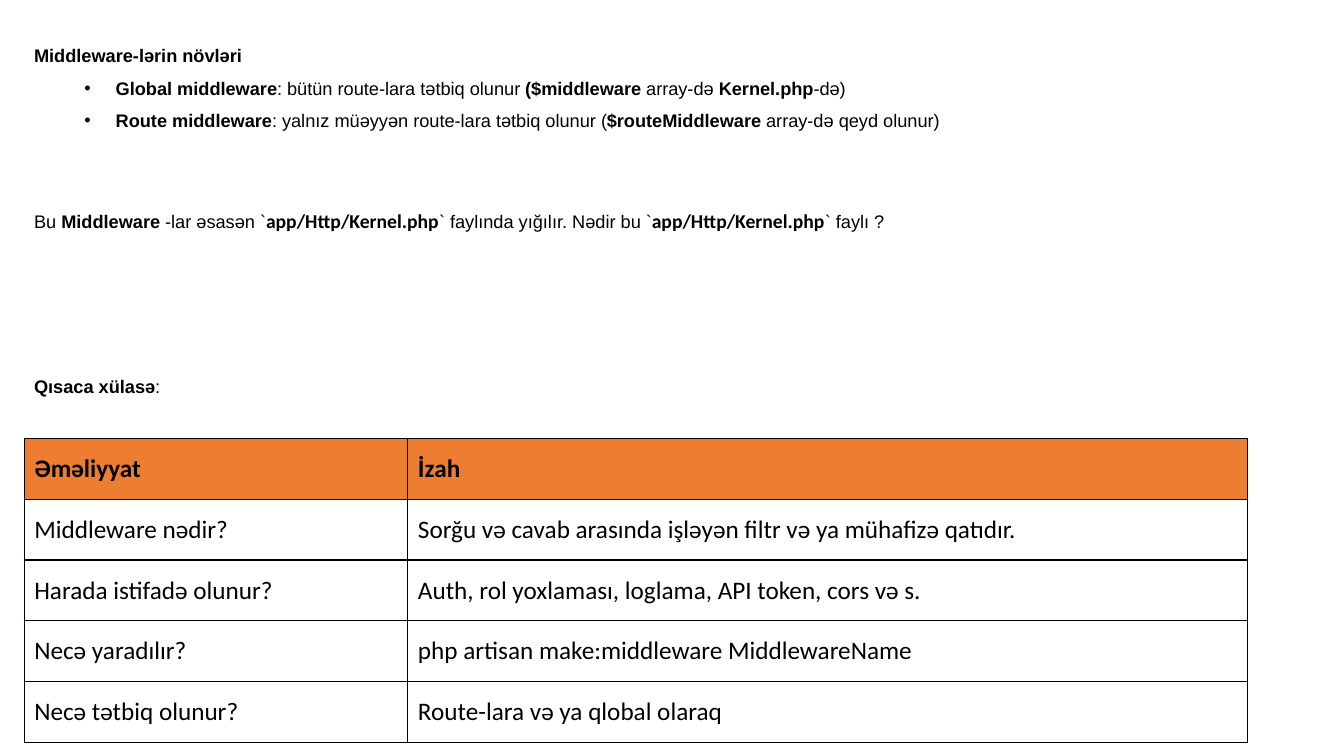
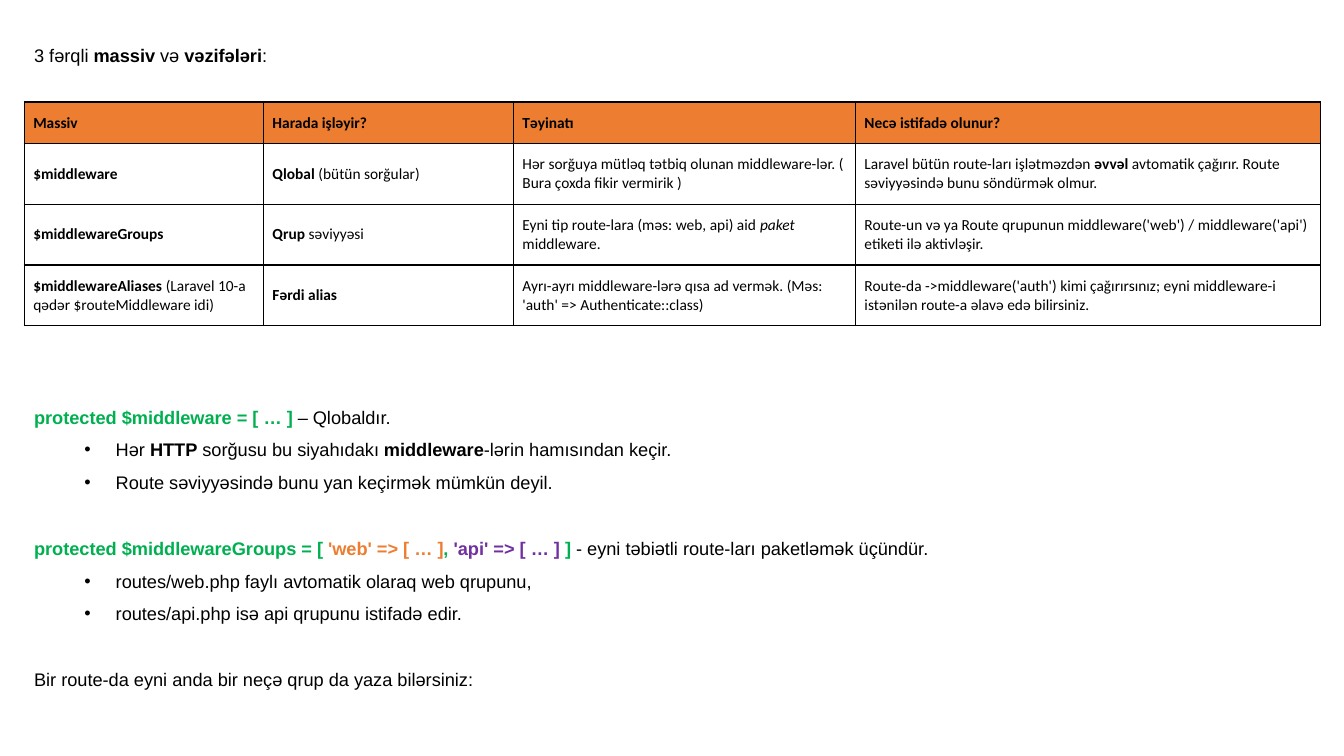
import dataclasses
import pptx
import pptx.dml.color
import pptx.enum.text
import pptx.oxml
import pptx.oxml.ns
import pptx.util


@dataclasses.dataclass(frozen=True)
class Theme:
    black: str = "000000"
    orange: str = "ED7D31"
    green: str = "00B050"
    purple: str = "7030A0"
    body_font: str = "Arial"
    table_font: str = "Calibri"
    body: int = 13
    code: int = 14
    table_large: int = 18
    table_small: int = 11
    line_spacing: float = 1.5
    line_gap: float = 23.5
    border: float = 1


theme = Theme()
BOLD = {"bold": True}
ITALIC = {"italic": True}
CODE = {"bold": True, "font": theme.table_font, "size": theme.code}
GREEN = {"bold": True, "color": theme.green}
ORANGE = {"bold": True, "color": theme.orange}
PURPLE = {"bold": True, "color": theme.purple}

prs = pptx.Presentation()
prs.slide_width = pptx.util.Inches(13.333)
prs.slide_height = pptx.util.Inches(7.5)
COL = prs.slide_width / 100
ROW = prs.slide_height / 100
LEFT = 1.8
WIDTH = 96.45
TEXT_TOP = 3.73


def write_runs(p, runs, font, size, bold=False):
    for item in runs:
        text, style = (item, {}) if isinstance(item, str) else item
        r = p.add_run()
        r.text = text
        r.font.name = style.get("font", font)
        r.font.size = pptx.util.Pt(style.get("size", size))
        r.font.bold = style.get("bold", bold)
        r.font.italic = style.get("italic", False)
        r.font.color.rgb = pptx.dml.color.RGBColor.from_string(style.get("color", theme.black))


def border_line(side):
    return pptx.oxml.parse_xml(
        f'<a:{side} {pptx.oxml.ns.nsdecls("a")} w="{pptx.util.Pt(theme.border)}">'
        f'<a:solidFill><a:srgbClr val="{theme.black}"/></a:solidFill></a:{side}>'
    )


slides = [
    {
        "text_rows": 53.33,
        "paragraphs": [
            (0, False, [("Middleware-lərin növləri", BOLD)]),
            (0, True, [("Global middleware", BOLD), ": bütün route-lara tətbiq olunur ",
                       ("($middleware ", BOLD), "array-də ", ("Kernel.php", BOLD), "-də)"]),
            (0, True, [("Route middleware", BOLD), ": yalnız müəyyən route-lara tətbiq olunur (",
                       ("$routeMiddleware ", BOLD), "array-də qeyd olunur)"]),
            (2, False, ["Bu ", ("Middleware", BOLD), " -lar əsasən `", ("app/Http/Kernel.php", CODE),
                        "` faylında yığılır. Nədir bu `", ("app/Http/Kernel.php", CODE), "` faylı ?"]),
            (4, False, [("Qısaca xülasə", BOLD), ":"]),
        ],
        "table_top": 58,
        "cols": [28.55, 62.45],
        "rows": [8.04] * 5,
        "size": theme.table_large,
        "margin": 0.1,
        "margin_y": 0.05,
        "cells": [
            [["Əməliyyat"], ["İzah"]],
            [["Middleware nədir?"], ["Sorğu və cavab arasında işləyən filtr və ya mühafizə qatıdır."]],
            [["Harada istifadə olunur?"], ["Auth, rol yoxlaması, loglama, API token, cors və s."]],
            [["Necə yaradılır?"], ["php artisan make:middleware MiddlewareName"]],
            [["Necə tətbiq olunur?"], ["Route-lara və ya qlobal olaraq"]],
        ],
    },
    {
        "text_rows": 88.27,
        "paragraphs": [
            (0, False, ["3 fərqli ", ("massiv", BOLD), " və ", ("vəzifələri", BOLD), ":"]),
            (10, False, [("protected $middleware = [ … ] ", GREEN), "– Qlobaldır."]),
            (0, True, ["Hər ", ("HTTP", BOLD), " sorğusu bu siyahıdakı ", ("middleware", BOLD),
                       "-lərin hamısından keçir."]),
            (0, True, ["Route səviyyəsində bunu yan keçirmək mümkün deyil."]),
            (1, False, [("protected $middlewareGroups = [ ", GREEN), ("'web' => [ … ]", ORANGE),
                        (", ", GREEN), ("'api' => [ … ]", PURPLE), (" ] ", GREEN),
                        "- eyni təbiətli route-ları paketləmək üçündür."]),
            (0, True, ["routes/web.php faylı avtomatik olaraq web qrupunu,"]),
            (0, True, ["routes/api.php isə api qrupunu istifadə edir."]),
            (1, False, ["Bir route-da eyni anda bir neçə qrup da yaza bilərsiniz:"]),
        ],
        "table_top": 13.5,
        "cols": [17.8, 18.6, 25.45, 34.6],
        "rows": [5.47] + [8.04] * 3,
        "size": theme.table_small,
        "margin": 0.09,
        "margin_y": 0.04,
        "cells": [
            [["Massiv"], ["Harada işləyir?"], ["Təyinatı"], ["Necə istifadə olunur?"]],
            [[("$middleware", BOLD)],
             [("Qlobal", BOLD), " (bütün sorğular)"],
             ["Hər sorğuya mütləq tətbiq olunan middleware-lər. ( Bura çoxda fikir vermirik )"],
             ["Laravel bütün route-ları işlətməzdən ", ("əvvəl", BOLD),
              " avtomatik çağırır. Route səviyyəsində bunu söndürmək olmur."]],
            [[("$middlewareGroups", BOLD)],
             [("Qrup", BOLD), " səviyyəsi"],
             ["Eyni tip route-lara (məs: web, api) aid ", ("paket", ITALIC), " middleware."],
             ["Route-un və ya Route qrupunun middleware('web') / middleware('api') "
              "etiketi ilə aktivləşir."]],
            [[("$middlewareAliases", BOLD), " (Laravel 10-a qədər $routeMiddleware idi)"],
             [("Fərdi alias", BOLD)],
             ["Ayrı-ayrı middleware-lərə qısa ad vermək. (Məs: 'auth' => Authenticate::class)"],
             ["Route-da ->middleware('auth') kimi çağırırsınız; eyni middleware-i "
              "istənilən route-a əlavə edə bilirsiniz."]],
        ],
    },
]

for page in slides:
    s = prs.slides.add_slide(prs.slide_layouts[6])

    sp = s.shapes.add_textbox(int(LEFT * COL), int(TEXT_TOP * ROW),
                              int(WIDTH * COL), int(page["text_rows"] * ROW))
    tf = sp.text_frame
    tf.word_wrap = True
    tf.auto_size = pptx.enum.text.MSO_AUTO_SIZE.SHAPE_TO_FIT_TEXT
    for i, (gap_lines, bulleted, runs) in enumerate(page["paragraphs"]):
        p = tf.add_paragraph() if i else tf.paragraphs[0]
        p.line_spacing = theme.line_spacing
        if gap_lines:
            p.space_before = pptx.util.Pt(gap_lines * theme.line_gap)
        if bulleted:
            p.level = 1
            pPr = p._p.get_or_add_pPr()
            pPr.set("marL", str(pptx.util.Inches(0.81)))
            pPr.set("indent", str(pptx.util.Inches(-0.31)))
            for bullet in (f'buFont {pptx.oxml.ns.nsdecls("a")} typeface="{theme.body_font}"',
                           f'buChar {pptx.oxml.ns.nsdecls("a")} char="•"'):
                pPr.append(pptx.oxml.parse_xml(f"<a:{bullet}/>"))
        write_runs(p, runs, theme.body_font, theme.body)

    tbl = s.shapes.add_table(len(page["rows"]), len(page["cols"]),
                             int(LEFT * COL), int(page["table_top"] * ROW),
                             int(sum(page["cols"]) * COL), int(sum(page["rows"]) * ROW)).table
    tbl.first_row = False
    tbl.horz_banding = False
    for column, share in zip(tbl.columns, page["cols"]):
        column.width = int(share * COL)
    for row, share in zip(tbl.rows, page["rows"]):
        row.height = int(share * ROW)
    for y, row_cells in enumerate(page["cells"]):
        for x, runs in enumerate(row_cells):
            cell = tbl.cell(y, x)
            cell.vertical_anchor = pptx.enum.text.MSO_ANCHOR.MIDDLE
            cell.margin_left = cell.margin_right = pptx.util.Inches(page["margin"])
            cell.margin_top = cell.margin_bottom = pptx.util.Inches(page["margin_y"])
            if y == 0:
                cell.fill.solid()
                cell.fill.fore_color.rgb = pptx.dml.color.RGBColor.from_string(theme.orange)
            else:
                cell.fill.background()
            tcPr = cell._tc.get_or_add_tcPr()
            for k, side in enumerate(("lnL", "lnR", "lnT", "lnB")):
                tcPr.insert(k, border_line(side))
            write_runs(cell.text_frame.paragraphs[0], runs, theme.table_font, page["size"], y == 0)

prs.save("out.pptx")
